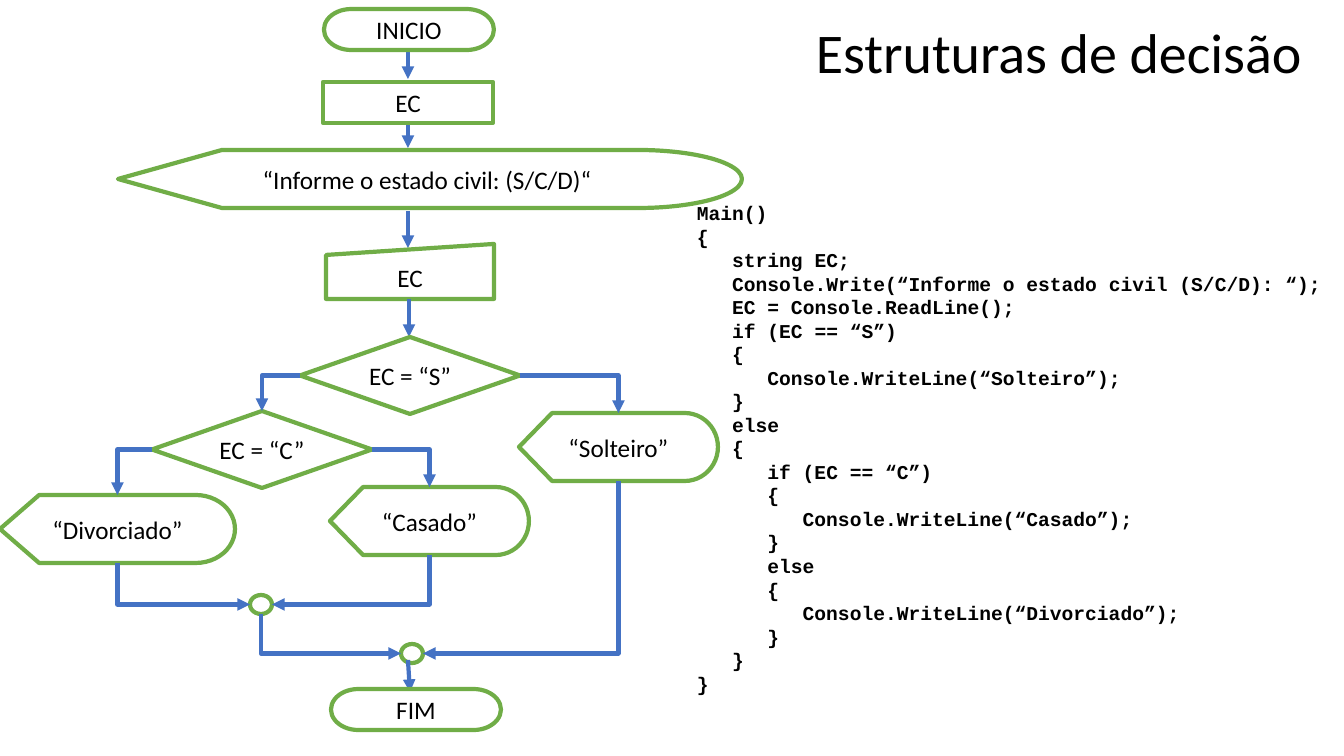
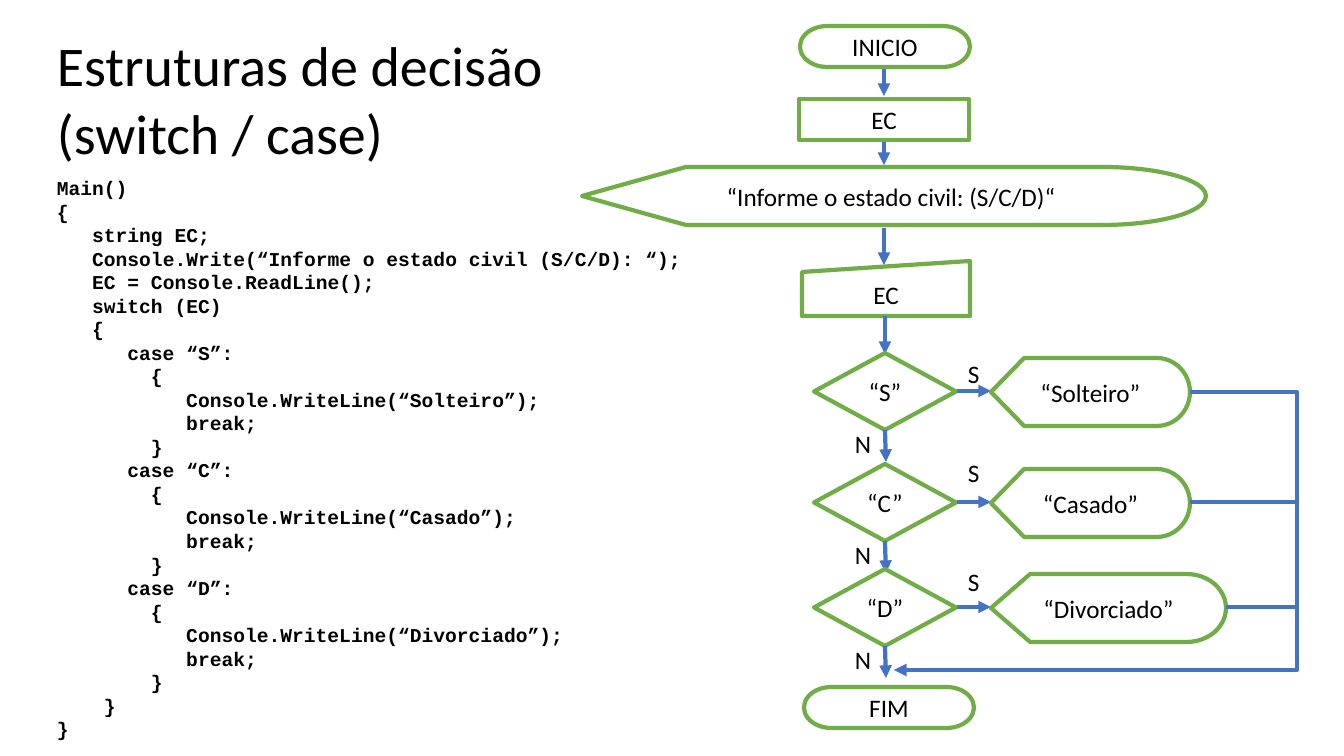
from lxml import etree
from pptx import Presentation
from pptx.dml.color import RGBColor
from pptx.enum.shapes import MSO_CONNECTOR, MSO_SHAPE
from pptx.enum.text import MSO_ANCHOR, PP_ALIGN
from pptx.oxml.ns import qn
from pptx.util import Emu, Pt

SCALE = 914400 / 100.8
WHITE, BLACK, GREEN, BLUE = "FFFFFF", "000000", "70AD47", "4472C4"
BODY_FONT, CODE_FONT = "Calibri", "Courier New"
COLUMN = Pt(8.4)
CODE_PITCH = Pt(16.8)
LINE_WIDTH = Pt(3)
TERMINATOR = MSO_SHAPE.FLOWCHART_TERMINATOR
INPUT = MSO_SHAPE.FLOWCHART_MANUAL_INPUT
DISPLAY = MSO_SHAPE.FLOWCHART_DISPLAY
JOIN = MSO_SHAPE.FLOWCHART_CONNECTOR
DIAMOND = MSO_SHAPE.DIAMOND
RECTANGLE = MSO_SHAPE.RECTANGLE
STRAIGHT, ELBOW = MSO_CONNECTOR.STRAIGHT, MSO_CONNECTOR.ELBOW
TOP, LEFT, BOTTOM, RIGHT = range(4)
HEAD, TAIL = "a:headEnd", "a:tailEnd"
TERMINATOR_SIZE = (170, 41)
SHORT_DISPLAY, LONG_DISPLAY = (199, 68), (235, 68)

IF_CODE = """Main()
{
   string EC;
   Console.Write(“Informe o estado civil (S/C/D): “);
   EC = Console.ReadLine();
   if (EC == “S”)
   {
      Console.WriteLine(“Solteiro”);
   }
   else
   {
      if (EC == “C”)
      {
         Console.WriteLine(“Casado”);
      }
      else
      {
         Console.WriteLine(“Divorciado”);
      }
   }
}"""

CASES = [("S", "Solteiro"), ("C", "Casado"), ("D", "Divorciado")]
CASE_CODE = """
      case “{}”:
        {{
           Console.WriteLine(“{}”);
           break;
        }}"""
SWITCH_CODE = """Main()
{
   string EC;
   Console.Write(“Informe o estado civil (S/C/D): “);
   EC = Console.ReadLine();
   switch (EC)
   {""" + "".join(CASE_CODE.format(*case) for case in CASES) + """
    }
}"""


def px(length):
    return Emu(round(length * SCALE))


def color(value):
    return RGBColor.from_string(value)


def write(frame, text, size, font=BODY_FONT, bold=False, align=PP_ALIGN.LEFT):
    frame.word_wrap = True
    frame.text = text
    for para in frame.paragraphs:
        para.alignment = align
        for span in para.runs:
            span.font.size = Pt(size)
            span.font.name = font
            span.font.bold = bold
            span.font.color.rgb = color(BLACK)


def add_text(page, text, box, size, **style):
    frame = page.shapes.add_textbox(*map(px, box)).text_frame
    write(frame, text, size, **style)
    return frame


def add_title(page, text, left, top):
    add_text(page, text, (left, top, 519, 146), 40)


def add_code(page, code, box):
    lines = code.split("\n")
    text = "\n".join(line.strip() for line in lines)
    frame = add_text(page, text, box, 14, font=CODE_FONT, bold=True)
    for para, line in zip(frame.paragraphs, lines):
        depth = len(line) - len(line.lstrip())
        para.line_spacing = CODE_PITCH
        para._p.get_or_add_pPr().set("marL", str(depth * COLUMN))


def add_node(page, kind, text, left, top, size):
    node = page.shapes.add_shape(kind, *map(px, (left, top, *size)))
    node.shadow.inherit = False
    node.fill.solid()
    node.fill.fore_color.rgb = color(WHITE)
    node.line.color.rgb = color(GREEN)
    node.line.width = LINE_WIDTH
    if text:
        node.text_frame.vertical_anchor = MSO_ANCHOR.MIDDLE
        write(node.text_frame, text, 18, align=PP_ALIGN.CENTER)
    return node


def style_link(link, arrow):
    link.line.color.rgb = color(BLUE)
    link.line.width = LINE_WIDTH
    if arrow:
        outline = link.line._get_or_add_ln()
        etree.SubElement(outline, qn(arrow)).set("type", "triangle")
    etree.SubElement(link._element.spPr, qn("a:effectLst"))


def add_line(page, start, end, arrow=TAIL):
    link = page.shapes.add_connector(STRAIGHT, *map(px, (*start, *end)))
    style_link(link, arrow)


def add_elbow(page, start, start_side, end, end_side, arrow=TAIL):
    link = page.shapes.add_connector(ELBOW, 0, 0, 0, 0)
    link.begin_connect(start, start_side)
    link.end_connect(end, end_side)
    for node, side, tag in ((start, start_side, "a:stCxn"), (end, end_side, "a:endCxn")):
        if node.auto_shape_type == JOIN:
            link._element.xpath(".//" + tag)[0].set("idx", str(side * 2))
    link._element.xpath(".//a:prstGeom")[0].set("prst", "bentConnector2")
    style_link(link, arrow)


def add_return(page, node, bus, end):
    link = page.shapes.add_connector(ELBOW, 0, 0, *map(px, end))
    link.begin_connect(node, RIGHT)
    ratio = (link.begin_x - px(bus)) / (link.begin_x - link.end_x)
    geometry = link._element.xpath(".//a:prstGeom")[0]
    adjustments = geometry.find(qn("a:avLst"))
    if adjustments is None:
        adjustments = etree.SubElement(geometry, qn("a:avLst"))
    guide = etree.SubElement(adjustments, qn("a:gd"))
    guide.set("name", "adj1")
    guide.set("fmla", f"val {round(ratio * 100000)}")
    style_link(link, TAIL)


def flow_start(page, left, top, prompt_left):
    axis = left + 84
    for start, end in ((41, 70), (102, 139), (202, 239)):
        add_line(page, (axis, top + start), (axis, top + end))
    add_node(page, TERMINATOR, "INICIO", left, top, TERMINATOR_SIZE)
    add_node(page, RECTANGLE, "EC", left - 1, top + 73, TERMINATOR_SIZE)
    add_node(page, DISPLAY, "“Informe o estado civil: (S/C/D)“ ",
             prompt_left, top + 141, (624, 58))
    add_node(page, INPUT, "EC", left + 2, top + 235, (168, 55))
    add_line(page, (axis + 1, top + 290), (axis + 1, top + 328))


def if_branches(page, left, top):
    single = add_node(page, DIAMOND, "EC = “S”", left + 300, top, (220, 77))
    married = add_node(page, DIAMOND, "EC = “C”", left + 152, top + 74, (220, 77))
    solteiro = add_node(page, DISPLAY, "“Solteiro”", left + 519, top + 76, SHORT_DISPLAY)
    casado = add_node(page, DISPLAY, "“Casado”", left + 330, top + 150, SHORT_DISPLAY)
    divorciado = add_node(page, DISPLAY, "“Divorciado”", left, top + 158, LONG_DISPLAY)
    inner = add_node(page, JOIN, "", left + 250, top + 258, (22, 19))
    outer = add_node(page, JOIN, "", left + 401, top + 307, (22, 19))
    add_elbow(page, single, RIGHT, solteiro, TOP)
    add_elbow(page, single, LEFT, married, TOP)
    add_elbow(page, married, RIGHT, casado, TOP)
    add_elbow(page, married, LEFT, divorciado, TOP)
    add_elbow(page, inner, LEFT, divorciado, BOTTOM, HEAD)
    add_elbow(page, inner, RIGHT, casado, BOTTOM, HEAD)
    add_elbow(page, outer, RIGHT, solteiro, BOTTOM, HEAD)
    add_elbow(page, outer, LEFT, inner, BOTTOM, HEAD)
    add_line(page, (left + 408, top + 323), (left + 410, top + 355))
    add_node(page, TERMINATOR, "FIM", left + 331, top + 352, TERMINATOR_SIZE)


def switch_branches(page, left, top):
    bus = left + 483
    rows = zip(CASES, (0, 111, 216), (SHORT_DISPLAY, SHORT_DISPLAY, LONG_DISPLAY),
               (0, 99, 208))
    for (key, word), offset, size, yes_top in rows:
        row = top + offset
        middle = row + 38
        add_node(page, DIAMOND, f"“{key}”", left, row, (142, 77))
        add_line(page, (left + 143, middle), (left + 177, middle))
        result = add_node(page, DISPLAY, f"“{word}”", left + 177, row + 5, size)
        add_line(page, (left + 71, row + 77), (left + 72, row + 109))
        add_text(page, "S", (left + 144, top + yes_top, 33, 40), 18)
        add_text(page, "N", (left + 31, row + 70, 38, 40), 18)
        if offset == 0:
            add_return(page, result, bus, (left + 80, top + 317))
        else:
            add_line(page, (left + 177 + size[0], middle), (bus, middle), None)
    add_node(page, TERMINATOR, "FIM", left - 10, top + 334, TERMINATOR_SIZE)


def if_slide(page):
    add_title(page, "Estruturas de decisão", 806, 13)
    flow_start(page, 324, 9, 118)
    add_code(page, IF_CODE, (687, 196, 713, 509))
    if_branches(page, 0, 337)


def switch_slide(page):
    add_code(page, SWITCH_CODE, (47, 171, 1016, 581))
    add_title(page, "Estruturas de decisão\n(switch / case)", 47, 26)
    flow_start(page, 800, 26, 582)
    switch_branches(page, 814, 353)


deck = Presentation()
deck.slide_width, deck.slide_height = px(1344), px(756)
for build in (if_slide, switch_slide):
    build(deck.slides.add_slide(deck.slide_layouts[6]))
deck.save("out.pptx")
